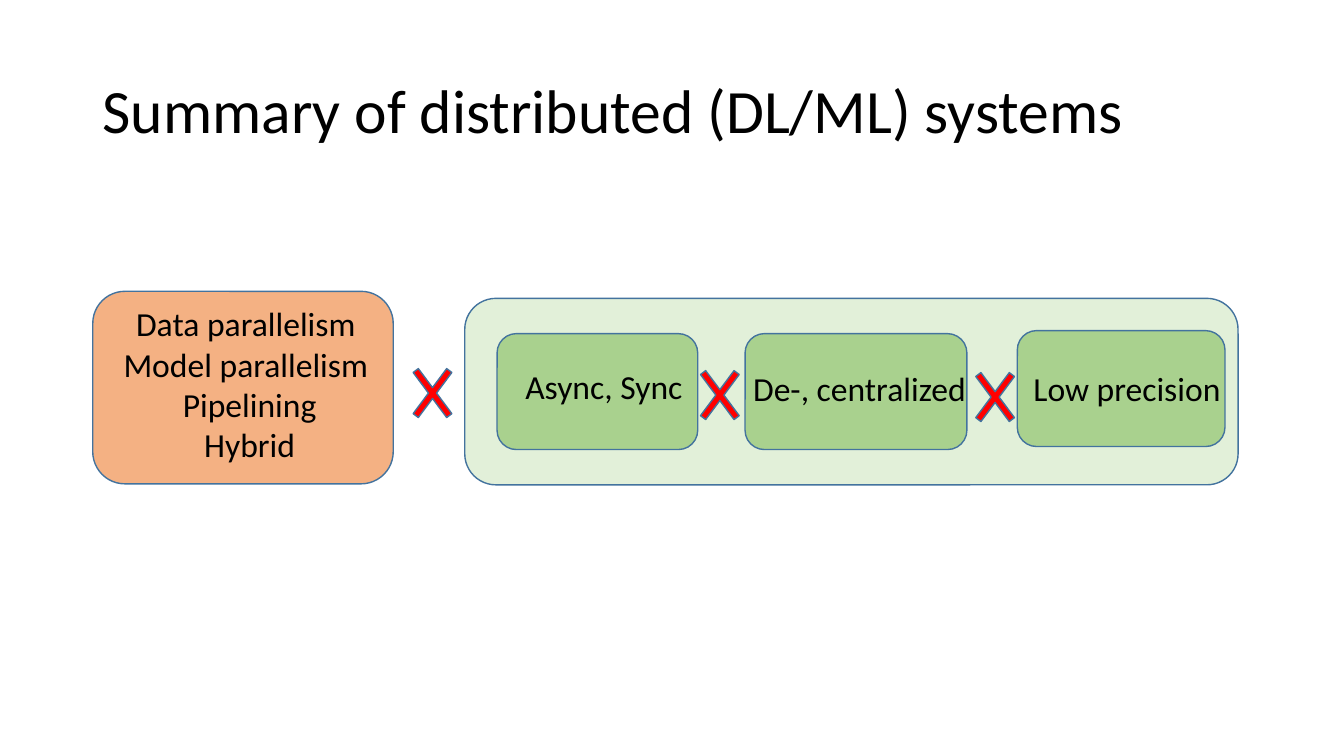
from pptx import Presentation
from pptx.dml.color import RGBColor
from pptx.enum.shapes import MSO_SHAPE
from pptx.enum.text import MSO_ANCHOR, PP_ALIGN
from pptx.util import Inches, Pt

BLACK = RGBColor(0x00, 0x00, 0x00)
OUTLINE = RGBColor(0x43, 0x73, 0x9E)
ORANGE = RGBColor(0xF4, 0xB1, 0x83)
PALE_GREEN = RGBColor(0xE2, 0xF0, 0xD9)
GREEN = RGBColor(0xA9, 0xD1, 0x8E)
RED = RGBColor(0xFF, 0x00, 0x00)

TITLE = "Summary of distributed (DL/ML) systems"
STRATEGIES = ["Data parallelism ", "Model parallelism ", "Pipelining", "Hybrid"]
STRATEGY_CARD = (0.92, 2.89, 2.98, 1.91)
OPTION_PANEL = (4.61, 2.96, 7.67, 1.85)
OPTION_HEIGHT = 1.15
OPTIONS = [
    ("Async, Sync", (4.93, 3.31, 1.99), (4.61, 3.58, 2.62)),
    ("De-, centralized", (7.39, 3.31, 2.2), (6.87, 3.6, 2.97)),
    ("Low precision", (10.09, 3.28, 2.06), (9.65, 3.6, 3.53)),
]
TIMES_LEFTS = [3.97, 6.82, 9.55]
TIMES_TOP, TIMES_STEP = 3.47, 0.02
TIMES_SIZE = (0.64, 0.86)
LEVEL_INDENT = 0.5


def add_panel(slide, preset, area, fill):
    """Draw an outlined, filled preset shape."""
    panel = slide.shapes.add_shape(preset, *map(Inches, area))
    panel.shadow.inherit = False
    panel.fill.solid()
    panel.fill.fore_color.rgb = fill
    panel.line.color.rgb = OUTLINE
    panel.line.width = Pt(1)
    return panel


def add_text(slide, lines, area, size=24, align=PP_ALIGN.LEFT,
             anchor=MSO_ANCHOR.TOP, indent=0, spacing=1.0):
    """Place lines of text as paragraphs in a wrapping box."""
    frame = slide.shapes.add_textbox(*map(Inches, area)).text_frame
    frame.word_wrap = True
    frame.vertical_anchor = anchor
    frame.margin_left = Inches(0.1 + indent)
    frame.text = "\n".join(lines)
    for paragraph in frame.paragraphs:
        paragraph.alignment = align
        paragraph.line_spacing = spacing
        paragraph.font.name = "Calibri"
        paragraph.font.size = Pt(size)
        paragraph.font.color.rgb = BLACK


def main():
    """Build the summary slide."""
    deck = Presentation()
    deck.slide_width, deck.slide_height = Inches(13.33), Inches(7.5)
    slide = deck.slides.add_slide(deck.slide_layouts[6])

    add_panel(slide, MSO_SHAPE.ROUNDED_RECTANGLE, OPTION_PANEL, PALE_GREEN)
    add_text(slide, [TITLE], (0.92, 0.4, 11.5, 1.45), size=44,
             anchor=MSO_ANCHOR.MIDDLE, spacing=0.9)
    add_panel(slide, MSO_SHAPE.ROUNDED_RECTANGLE, STRATEGY_CARD, ORANGE)
    add_text(slide, STRATEGIES, (0.39, 2.96, 3.67, 1.72),
             align=PP_ALIGN.CENTER, indent=LEVEL_INDENT)

    for _, card, _ in OPTIONS:
        add_panel(slide, MSO_SHAPE.ROUNDED_RECTANGLE,
                  (*card, OPTION_HEIGHT), GREEN)
    for label, _, label_area in OPTIONS:
        add_text(slide, [label], (*label_area, 0.5), indent=LEVEL_INDENT)

    for index, left in enumerate(TIMES_LEFTS):
        top = TIMES_TOP + index * TIMES_STEP
        times = add_panel(slide, MSO_SHAPE.MATH_MULTIPLY,
                          (left, top, *TIMES_SIZE), RED)
        times.adjustments[0] = 0.1

    deck.save("out.pptx")


if __name__ == "__main__":
    main()
